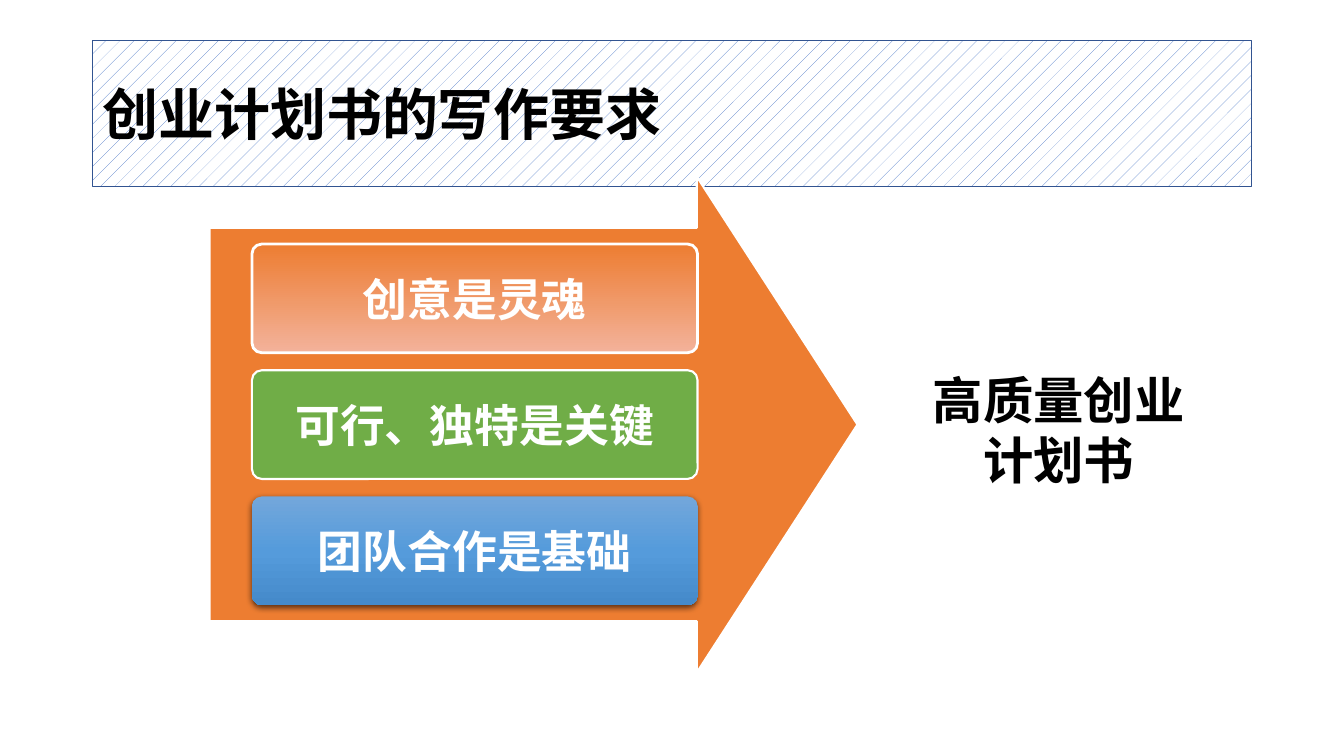
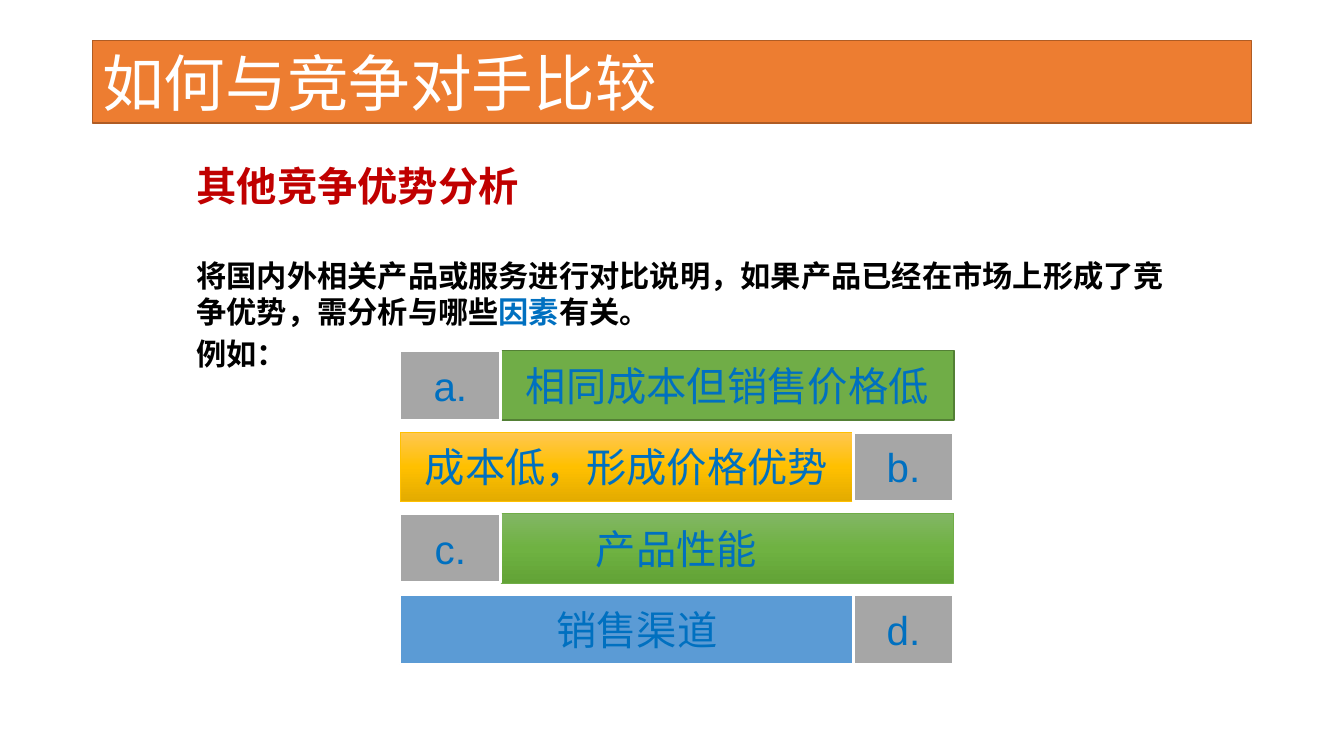
from lxml.etree import SubElement as Sub
from pptx import Presentation
from pptx.dml.color import RGBColor as RGB
from pptx.enum.dml import MSO_PATTERN as Pattern
from pptx.enum.shapes import MSO_SHAPE as Kind
from pptx.enum.text import MSO_ANCHOR as Anchor, PP_ALIGN as Align
from pptx.oxml.ns import qn
from pptx.util import Cm, Pt

# Colours
WHITE = RGB(0xFF, 0xFF, 0xFF)
BLACK = RGB(0x00, 0x00, 0x00)
RED = RGB(0xC0, 0x00, 0x00)
GREY = RGB(0xA6, 0xA6, 0xA6)
INK = RGB(0x00, 0x70, 0xC0)
HATCH = RGB(0x44, 0x72, 0xC4)
NAVY = RGB(0x32, 0x54, 0x91)
ORANGE = RGB(0xED, 0x7D, 0x31)
BROWN = RGB(0xAF, 0x5C, 0x24)
GREEN = RGB(0x70, 0xAD, 0x47)
MOSS = RGB(0x53, 0x80, 0x35)
GOLD = RGB(0xFF, 0xC0, 0x00)
SKY = RGB(0x5B, 0x9B, 0xD5)

# Gradients, from top to bottom
PEACH = [(0, ORANGE), (100, RGB(0xF3, 0xB2, 0x9B))]
AZURE = [(0, RGB(0x73, 0xA7, 0xDB)), (50, RGB(0x55, 0x9B, 0xDB)),
         (100, RGB(0x45, 0x8A, 0xCA))]
AMBER = [(0, RGB(0xFF, 0xC7, 0x52)), (50, GOLD),
         (100, RGB(0xE3, 0xAB, 0x00))]
LEAF = [(0, RGB(0x82, 0xB6, 0x64)), (50, RGB(0x6F, 0xB2, 0x42)),
        (100, RGB(0x62, 0xA3, 0x36))]

HAN = "Noto Sans CJK SC"
PITCH = 1.19  # line height in ems

# Slide 1: text, font, fill, line width
NEEDS_TITLE = "创业计划书的写作要求"
NEEDS = [
    ("创意是灵魂", "Calibri", PEACH, 2),
    ("可行、独特是关键", "Arial", GREEN, 1.5),
    ("团队合作是基础", "Calibri", AZURE, None),
]
RESULT = "高质量创业计划书"

# Slide 2: body as (space before, size, runs); bars as
# (mark, text, fill, line, line width, left inset, alignment)
RIVAL_TITLE = "如何与竞争对手比较"
BODY = [
    (0, 28.8, [("其他竞争优势分析", RED)]),
    (34.5, 21.6, [
        ("将国内外相关产品或服务进行对比说明，如果产品已经在市场上"
         "形成了竞争优势，需分析与哪些", BLACK),
        ("因素", INK),
        ("有关。", BLACK)]),
    (4.3, 21.6, [("例如：", BLACK)]),
]
BARS = [
    ("a.", "相同成本但销售价格低", GREEN, MOSS, 1, 0.43, Align.CENTER),
    ("b.", "成本低，形成价格优势", AMBER, GOLD, 0.5, 0.43, Align.CENTER),
    ("c.", "产品性能", LEAF, GREEN, 0.5, 2.4, Align.LEFT),
    ("d.", "销售渠道", SKY, WHITE, 1.5, 0.95, Align.CENTER),
]


def style(run, size, color, font, bold):
    run.font.size = Pt(size)
    run.font.bold = bold
    run.font.color.rgb = color
    run.font.name = font
    Sub(run.font._element, qn("a:ea")).set("typeface", HAN)


def shade(shape, stops):
    shape.fill.gradient()
    shape.fill.gradient_angle = 270
    grad = shape._element.spPr.find(qn("a:gradFill"))
    group = grad.find(qn("a:gsLst"))
    for old in list(group):
        group.remove(old)
    for pos, color in stops:
        stop = Sub(group, qn("a:gs"), pos=str(pos * 1000))
        Sub(stop, qn("a:srgbClr"), val=str(color))


def draw(slide, kind, box, fill=None, line=None, width=1):
    shape = slide.shapes.add_shape(kind, *map(Cm, box))
    shape.shadow.inherit = False
    if fill is None:
        shape.fill.background()
    elif isinstance(fill, list):
        shade(shape, fill)
    else:
        shape.fill.solid()
        shape.fill.fore_color.rgb = fill
    if line is None:
        shape.line.fill.background()
    else:
        shape.line.color.rgb = line
        shape.line.width = Pt(width)
    return shape


def label(shape, text, size, color, font="Calibri", bold=False,
          align=Align.CENTER, wrap=True):
    frame = shape.text_frame
    frame.text = text
    frame.word_wrap = wrap
    frame.vertical_anchor = Anchor.MIDDLE
    para = frame.paragraphs[0]
    para.alignment = align
    para.line_spacing = Pt(size * PITCH)
    style(para.runs[0], size, color, font, bold)


def title(slide, text, high, size, color, fill, line, bold):
    band = draw(slide, Kind.RECTANGLE, (2.33, 1.02, 29.21, high), fill, line)
    label(band, text, size, color, bold=bold, align=Align.LEFT)
    return band


def drop(shape):
    """Soft shadow below the shape."""
    effect = shape._element.spPr.find(qn("a:effectLst"))
    shadow = Sub(effect, qn("a:outerShdw"), blurRad=str(Pt(4.5)),
                 dist=str(Pt(1.5)), dir="5400000", rotWithShape="0")
    color = Sub(shadow, qn("a:srgbClr"), val=str(BLACK))
    Sub(color, qn("a:alpha"), val="63000")


def needs(slide):
    band = title(slide, NEEDS_TITLE, 3.68, 40, BLACK, WHITE, NAVY, True)
    band.fill.patterned()
    band.fill.pattern = Pattern.PERCENT_5
    band.fill.fore_color.rgb = HATCH
    band.fill.back_color.rgb = WHITE

    # Arrow behind the three needs
    arrow = draw(slide, Kind.RIGHT_ARROW, (5.28, 4.45, 16.33, 12.5),
                 ORANGE, WHITE, 1.5)
    arrow.adjustments[0] = 0.793
    arrow.adjustments[1] = 0.324

    for i, (text, font, fill, width) in enumerate(NEEDS):
        box = (6.35, 6.15 + i * 3.18, 11.23, 2.74)
        line = WHITE if width else None
        card = draw(slide, Kind.ROUNDED_RECTANGLE, box, fill, line, width)
        card.adjustments[0] = 0.091
        label(card, text, 32, WHITE, font, True, wrap=False)
        if not width:
            drop(card)

    # What the arrow leads to
    goal = draw(slide, Kind.ROUNDED_RECTANGLE, (22.68, 9.02, 8, 3.6))
    goal.adjustments[0] = 0.091
    label(goal, RESULT, 36, BLACK, bold=True)


def rivals(slide):
    title(slide, RIVAL_TITLE, 2.08, 44, WHITE, ORANGE, BROWN, False)

    # Body text
    area = slide.shapes.add_textbox(Cm(4.7), Cm(3.94), Cm(25.53), Cm(6))
    frame = area.text_frame
    frame.word_wrap = True
    for i, (space, size, runs) in enumerate(BODY):
        para = frame.add_paragraph() if i else frame.paragraphs[0]
        para.space_before = Pt(space)
        para.line_spacing = Pt(size * PITCH)
        for text, color in runs:
            run = para.add_run()
            run.text = text
            style(run, size, color, HAN, True)

    # Bars with the mark on alternating sides
    left, top, step, high = 10.08, 8.84, 2.05, 1.75
    small, wide = 2.54, 11.42
    for i, (mark, text, fill, line, width, inset, align) in enumerate(BARS):
        y = top + i * step
        first = i % 2 == 0
        bar_x = left + small if first else left
        mark_x = left if first else left + wide
        bar = draw(slide, Kind.RECTANGLE, (bar_x, y, wide, high),
                   fill, line, width)
        bar.text_frame.margin_left = Cm(inset)
        bar.text_frame.margin_right = Cm(0.43)
        label(bar, text, 28.8, INK, "Arial", align=align)
        tag = draw(slide, Kind.RECTANGLE, (mark_x, y, small, high),
                   GREY, WHITE, 2)
        label(tag, mark, 28.8, INK, "Arial")


def main():
    deck = Presentation()
    deck.slide_width, deck.slide_height = Cm(33.87), Cm(19.05)
    for build in (needs, rivals):
        build(deck.slides.add_slide(deck.slide_layouts[6]))
    deck.save("out.pptx")


if __name__ == "__main__":
    main()
